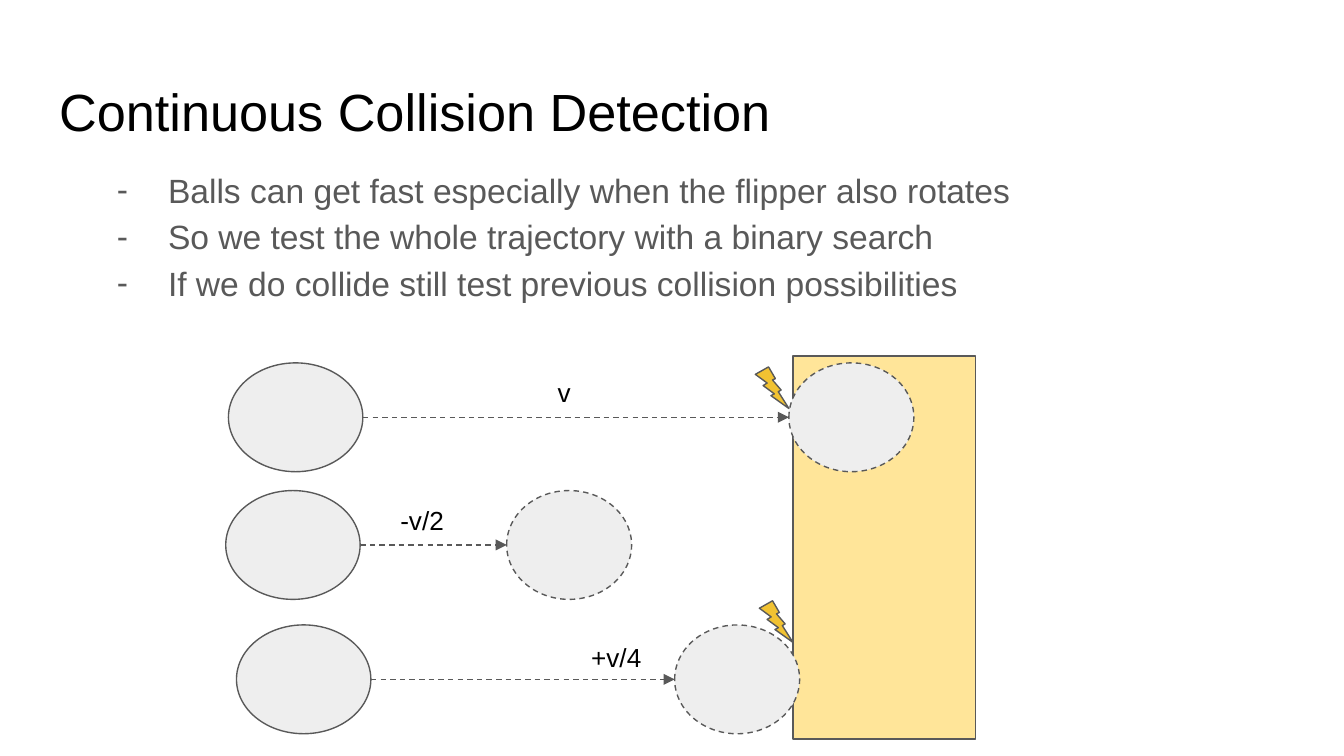
from dataclasses import dataclass

from lxml import etree
from pptx import Presentation
from pptx.dml.color import RGBColor
from pptx.enum.dml import MSO_LINE
from pptx.enum.shapes import MSO_CONNECTOR, MSO_SHAPE
from pptx.enum.text import MSO_ANCHOR, PP_ALIGN
from pptx.oxml.ns import qn
from pptx.util import Inches, Pt

DASH = MSO_LINE.DASH
STRAIGHT = MSO_CONNECTOR.STRAIGHT
RECT = MSO_SHAPE.RECTANGLE
OVAL = MSO_SHAPE.OVAL
GHOST = MSO_SHAPE.FLOWCHART_CONNECTOR
BOLT = MSO_SHAPE.LIGHTNING_BOLT
LEFT = PP_ALIGN.LEFT
TOP = MSO_ANCHOR.TOP


@dataclass(frozen=True)
class Theme:
    font: str = "Arial"
    black: str = "000000"
    gray: str = "595959"
    ball: str = "EEEEEE"
    wall: str = "FFE599"
    bolt: str = "F1C232"
    title_size: int = 28
    body_size: int = 18
    label_size: int = 14
    line_width: float = 0.75


THEME = Theme()
SLIDE_W = 10
SLIDE_H = SLIDE_W * 9 / 16
BALL_W, GHOST_W, BALL_H = 1, 0.93, 0.81

BULLETS = [
    "Balls can get fast especially when the flipper also rotates",
    "So we test the whole trajectory with a binary search",
    "If we do collide still test previous collision possibilities",
]

# top, ball left, ghost left, label, label box
STEPS = [
    (2.7, 1.7, 5.87, "v", (4.05, 2.7, 0.32, 0.45)),
    (3.65, 1.68, 3.77, "-v/2", (2.88, 3.65, 0.79, 0.45)),
    (4.65, 1.76, 5.02, "+v/4", (4.3, 4.67, 0.65, 0.48)),
]


def place(sp, left, top, width, height):
    sp.left, sp.top = Inches(left), Inches(top)
    sp.width, sp.height = Inches(width), Inches(height)


def write(sp, lines, size, color, spacing=1.0, bullet=None):
    """Fill a text shape with one paragraph per line."""
    tf = sp.text_frame
    tf.word_wrap = True
    tf.vertical_anchor = TOP
    tf.margin_left = tf.margin_right = Inches(0.1)
    tf.margin_top = tf.margin_bottom = Inches(0.1)
    for i, line in enumerate(lines):
        p = tf.add_paragraph() if i else tf.paragraphs[0]
        p.alignment = LEFT
        p.line_spacing = spacing
        p.space_before = p.space_after = Pt(0)
        r = p.add_run()
        r.text = line
        r.font.name = THEME.font
        r.font.size = Pt(size)
        r.font.color.rgb = RGBColor.from_string(color)
        if bullet:
            add_bullet(p, bullet, color)


def add_bullet(p, char, color):
    pPr = p._p.get_or_add_pPr()
    pPr.set("marL", str(Inches(0.5)))
    pPr.set("indent", str(Inches(-0.38)))
    buClr = etree.SubElement(pPr, qn("a:buClr"))
    etree.SubElement(buClr, qn("a:srgbClr"), val=color)
    etree.SubElement(pPr, qn("a:buFont"), typeface=THEME.font)
    etree.SubElement(pPr, qn("a:buChar"), char=char)


def style_line(line, dash=None):
    line.color.rgb = RGBColor.from_string(THEME.gray)
    line.width = Pt(THEME.line_width)
    if dash:
        line.dash_style = dash


def add_shape(s, kind, box, fill, dash=None):
    sp = s.shapes.add_shape(kind, *map(Inches, box))
    sp.shadow.inherit = False
    sp.fill.solid()
    sp.fill.fore_color.rgb = RGBColor.from_string(fill)
    style_line(sp.line, dash)


def add_arrow(s, x1, x2, y):
    cxn = s.shapes.add_connector(STRAIGHT, *map(Inches, (x1, y, x2, y)))
    style_line(cxn.line, DASH)
    etree.SubElement(cxn.line._get_or_add_ln(), qn("a:tailEnd"), type="triangle")
    etree.SubElement(cxn._element.spPr, qn("a:effectLst"))


def add_step(s, top, ball_x, ghost_x, label, label_box):
    """Draw a ball, its tested position and the labelled move between them."""
    add_shape(s, OVAL, (ball_x, top, BALL_W, BALL_H), THEME.ball)
    add_shape(s, GHOST, (ghost_x, top, GHOST_W, BALL_H), THEME.ball, DASH)
    add_arrow(s, ball_x + BALL_W, ghost_x, top + BALL_H / 2)
    tb = s.shapes.add_textbox(*map(Inches, label_box))
    write(tb, [label], THEME.label_size, THEME.black)


def main():
    prs = Presentation()
    prs.slide_width, prs.slide_height = Inches(SLIDE_W), Inches(SLIDE_H)
    s = prs.slides.add_slide(prs.slide_layouts[1])

    add_shape(s, RECT, (5.9, 2.65, 1.36, 2.85), THEME.wall)

    title, body = s.shapes.title, s.placeholders[1]
    place(title, 0.34, 0.49, 9.32, 0.63)
    write(title, ["Continuous Collision Detection"], THEME.title_size, THEME.black)
    place(body, 0.65, 1.12, 7.64, 1.27)
    write(body, BULLETS, THEME.body_size, THEME.gray, spacing=1.15, bullet="-")

    for step in STEPS:
        add_step(s, *step)
    for left, top in [(5.62, 2.73), (5.65, 4.47)]:
        add_shape(s, BOLT, (left, top, 0.25, 0.31), THEME.bolt)

    prs.save("out.pptx")


if __name__ == "__main__":
    main()
